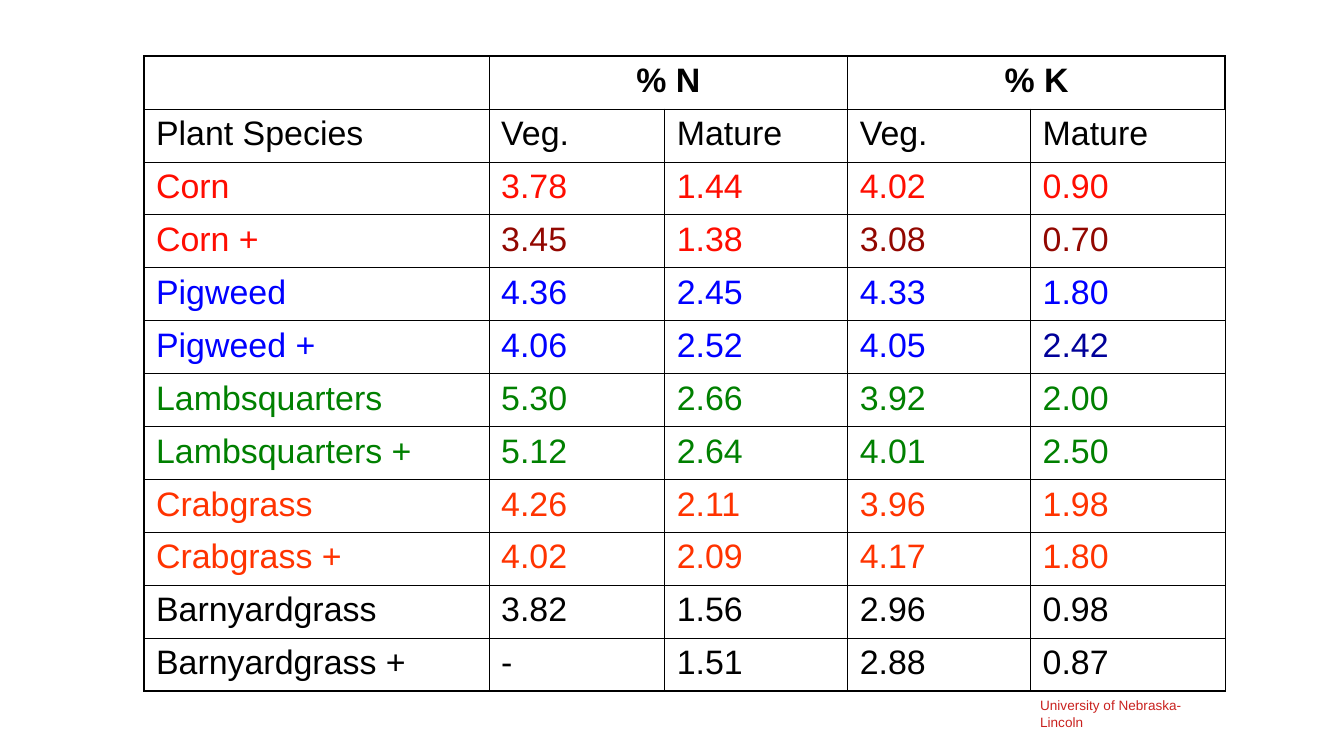
from lxml import etree
from pptx import Presentation
from pptx import util as u
from pptx.dml.color import RGBColor
from pptx.enum import shapes, text
from pptx.oxml.ns import qn

BLACK = RGBColor(0x00, 0x00, 0x00)
RED = RGBColor(0xFF, 0x0D, 0x01)
DARK_RED = RGBColor(0x92, 0x07, 0x00)
BLUE = RGBColor(0x00, 0x00, 0xFF)
DARK_BLUE = RGBColor(0x00, 0x00, 0x99)
GREEN = RGBColor(0x00, 0x80, 0x00)
ORANGE = RGBColor(0xFF, 0x33, 0x00)
CREDIT_RED = RGBColor(0xC9, 0x21, 0x1E)

THIN, THICK = u.Pt(0.45), u.Pt(1.08)
COL_WIDTHS = (2.83, 1.44, 1.5, 1.5, 1.6)
ROWS = (
    (("", "% N", "", "% K", ""), BLACK),
    (("Plant Species", "Veg.", "Mature", "Veg.", "Mature"), BLACK),
    (("Corn", "3.78", "1.44", "4.02", "0.90"), RED),
    (("Corn +", "3.45", "1.38", "3.08", "0.70"), RED),
    (("Pigweed", "4.36", "2.45", "4.33", "1.80"), BLUE),
    (("Pigweed +", "4.06", "2.52", "4.05", "2.42"), BLUE),
    (("Lambsquarters", "5.30", "2.66", "3.92", "2.00"), GREEN),
    (("Lambsquarters +", "5.12", "2.64", "4.01", "2.50"), GREEN),
    (("Crabgrass", "4.26", "2.11", "3.96", "1.98"), ORANGE),
    (("Crabgrass +", "4.02", "2.09", "4.17", "1.80"), ORANGE),
    (("Barnyardgrass", "3.82", "1.56", "2.96", "0.98"), BLACK),
    (("Barnyardgrass +", "-", "1.51", "2.88", "0.87"), BLACK),
)
ACCENTS = {(3, 1): DARK_RED, (3, 3): DARK_RED, (3, 4): DARK_RED, (5, 4): DARK_BLUE}


def write(tf, words, size=20, color=BLACK, bold=False, align=None, before=0):
    p = tf.paragraphs[0]
    p.alignment = align
    p.space_before = u.Pt(before)
    r = p.add_run()
    r.text = words
    r.font.name = "Arial"
    r.font.size = u.Pt(size)
    r.font.bold = bold
    r.font.color.rgb = color


def set_borders(cell, **widths):
    tc_pr = cell._tc.get_or_add_tcPr()
    for side in "LRTB":
        ln = etree.SubElement(tc_pr, qn(f"a:ln{side}"), w=str(int(widths[side])))
        fill = etree.SubElement(ln, qn("a:solidFill"))
        etree.SubElement(fill, qn("a:srgbClr"), val=str(BLACK))


def add_nutrient_table(s, left, top, width, height):
    frame = s.shapes.add_table(len(ROWS), len(COL_WIDTHS), u.Inches(left),
                               u.Inches(top), u.Inches(width), u.Inches(height))
    table = frame.table
    table.first_row = table.horz_banding = False
    for col, col_width in zip(table.columns, COL_WIDTHS):
        col.width = u.Inches(col_width)
    last_row, last_col = len(ROWS) - 1, len(COL_WIDTHS) - 1
    for i, (values, row_color) in enumerate(ROWS):
        for j, value in enumerate(values):
            cell = table.cell(i, j)
            set_borders(cell,
                        L=THICK if j == 0 else THIN,
                        R=THICK if j == last_col else THIN,
                        T=THICK if i == 0 else THIN,
                        B=THICK if i == last_row else THIN)
            cell.fill.background()
            if value:
                write(cell.text_frame, value, color=ACCENTS.get((i, j), row_color),
                      bold=i == 0, before=5,
                      align=text.PP_ALIGN.CENTER if i == 0 else text.PP_ALIGN.LEFT)
    for j in (1, 3):
        table.cell(0, j).merge(table.cell(0, j + 1))


def add_header_edge(s, x, top, bottom):
    line = s.shapes.add_connector(shapes.MSO_CONNECTOR.STRAIGHT, u.Inches(x),
                                  u.Inches(bottom), u.Inches(x), u.Inches(top))
    line.line.color.rgb = BLACK
    line.line.width = u.Pt(0.79)
    etree.SubElement(line._element.spPr, qn("a:effectLst"))


def add_credit(s, left, top, width, height):
    sp = s.shapes.add_textbox(u.Inches(left), u.Inches(top),
                              u.Inches(width), u.Inches(height))
    tf = sp.text_frame
    tf.word_wrap = True
    tf.auto_size = text.MSO_AUTO_SIZE.SHAPE_TO_FIT_TEXT
    write(tf, "University of Nebraska-Lincoln", size=8, color=CREDIT_RED)


def main():
    prs = Presentation()
    prs.slide_width, prs.slide_height = u.Inches(11.02), u.Inches(6.2)
    s = prs.slides.add_slide(prs.slide_layouts[6])
    left, top, width, height = 1.18, 0.46, sum(COL_WIDTHS), 5.21
    add_nutrient_table(s, left, top, width, height)
    add_header_edge(s, 10.04, top, 0.9)
    add_credit(s, 8.43, top + height, 1.71, 0.22)
    prs.save("out.pptx")


if __name__ == "__main__":
    main()
